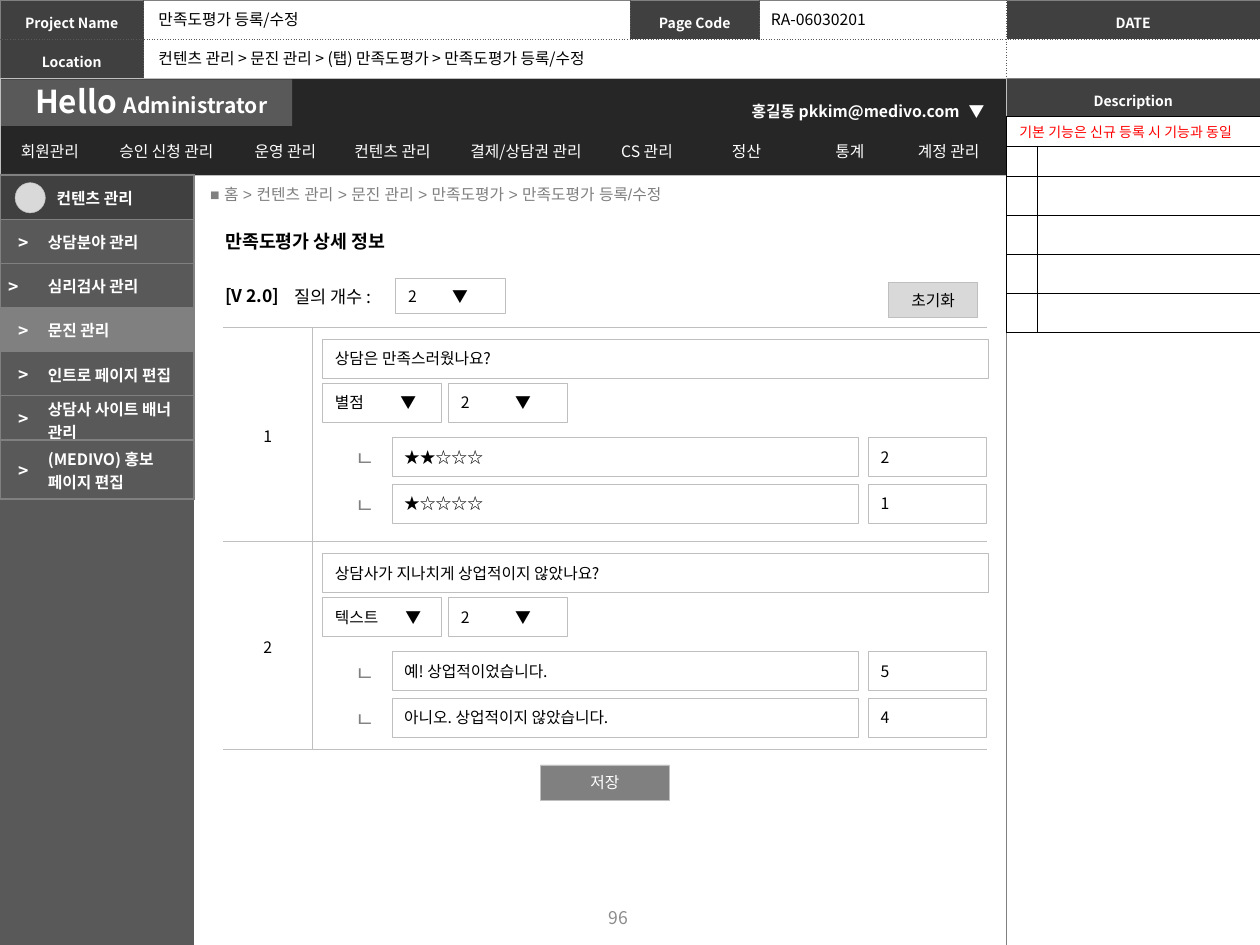
from lxml.etree import SubElement
from pptx import Presentation
from pptx.dml.color import RGBColor
from pptx.enum.shapes import MSO_SHAPE as Preset
from pptx.enum.text import MSO_ANCHOR as Anchor, MSO_AUTO_SIZE as AutoSize, PP_ALIGN as Align
from pptx.oxml.ns import qn
from pptx.util import Inches, Pt

FONT = "Noto Sans CJK KR"
COLORS = {
    "white": "FFFFFF", "black": "000000", "red": "FF0000", "night": "262626",
    "dark": "404040", "slate": "595959", "gray": "808080", "muted": "8C8C8C",
    "silver": "BFBFBF", "light": "D9D9D9",
}
PLAIN_TABLE = "{2D5ABB26-0587-4C30-8999-92F81FD0307C}"
TIGHT = (0.01, 0.01, 0.01, 0)
HEADER = dict(size=8, color="white", bold=True, align=Align.CENTER, spacing=1.3)


def rgb(name):
    return RGBColor.from_string(COLORS[name])


def write(frame, text, size=9, color="black", bold=False, align=Align.LEFT,
          spacing=None, font=FONT, tab=None):
    para = frame.paragraphs[0]
    para.alignment = align
    if spacing:
        para.line_spacing = spacing
    if tab:
        tabs = SubElement(para._p.get_or_add_pPr(), qn("a:tabLst"))
        SubElement(tabs, qn("a:tab"), pos=str(Inches(tab)), algn="l")
    pieces = [(text, size)] if isinstance(text, str) else text
    for words, points in pieces:
        span = para.add_run()
        span.text = words
        span.font.size = Pt(points)
        span.font.bold = bold
        span.font.name = font
        span.font.color.rgb = rgb(color)
        SubElement(span._r.get_or_add_rPr(), qn("a:ea"), typeface=font)


def add_label(page, text, left, top, width, height, anchor=Anchor.TOP, wrap=False, **style):
    box = page.shapes.add_textbox(Inches(left), Inches(top), Inches(width), Inches(height))
    frame = box.text_frame
    frame.word_wrap = wrap
    frame.auto_size = AutoSize.NONE if wrap else AutoSize.SHAPE_TO_FIT_TEXT
    frame.vertical_anchor = anchor
    write(frame, text, **style)


def add_block(page, left, top, width, height, fill="white", line="silver", text="",
              preset=Preset.RECTANGLE, **style):
    shape = page.shapes.add_shape(preset, Inches(left), Inches(top), Inches(width), Inches(height))
    shape.shadow.inherit = False
    shape.fill.solid()
    shape.fill.fore_color.rgb = rgb(fill)
    if line:
        shape.line.color.rgb = rgb(line)
        shape.line.width = Pt(0.25)
    else:
        shape.line.fill.background()
    if text:
        shape.text_frame.vertical_anchor = Anchor.MIDDLE
        write(shape.text_frame, text, **style)


def draw_border(cell, side, line):
    if not line:
        return
    color, width, dash = line
    border = SubElement(cell._tc.get_or_add_tcPr(), qn(f"a:ln{side}"), w=str(Pt(width)))
    solid = SubElement(border, qn("a:solidFill"))
    SubElement(solid, qn("a:srgbClr"), val=COLORS[color])
    SubElement(border, qn("a:prstDash"), val=dash)


def add_grid(page, left, top, widths, heights, sides=None, ends=None, across=None, down=None):
    rows, columns = len(heights), len(widths)
    holder = page.shapes.add_table(rows, columns, Inches(left), Inches(top),
                                   Inches(sum(widths)), Inches(sum(heights)))
    grid = holder.table
    grid.first_row = grid.horz_banding = False
    holder.element.xpath(".//a:tableStyleId")[0].text = PLAIN_TABLE
    for column, width in zip(grid.columns, widths):
        column.width = Inches(width)
    for row, height in zip(grid.rows, heights):
        row.height = Inches(height)
    for r in range(rows):
        for c in range(columns):
            cell = grid.cell(r, c)
            draw_border(cell, "L", down if c else sides)
            draw_border(cell, "R", down if c < columns - 1 else sides)
            draw_border(cell, "T", across if r else ends)
            draw_border(cell, "B", across if r < rows - 1 else ends)
            cell.fill.background()
            SubElement(cell.text_frame.paragraphs[0]._p, qn("a:endParaRPr"), sz="600")
    return grid


def fill_cell(cell, text="", fill=None, insets=(0.1, 0.05, 0.1, 0.05), anchor=Anchor.MIDDLE, **style):
    cell.margin_left, cell.margin_top, cell.margin_right, cell.margin_bottom = map(Inches, insets)
    cell.vertical_anchor = anchor
    if fill:
        cell.fill.solid()
        cell.fill.fore_color.rgb = rgb(fill)
    if text:
        write(cell.text_frame, text, **style)


def add_header(page):
    solid, dotted = ("gray", 0.5, "solid"), ("slate", 0.5, "sysDot")
    info = add_grid(page, 0, 0, [1.14, 3.86, 1.03, 1.96, 2.01], [0.31, 0.31],
                    solid, solid, dotted, dotted)
    for r, c, text in [(0, 0, "Project Name"), (0, 2, "Page Code"), (0, 4, "DATE"), (1, 0, "Location")]:
        fill_cell(info.cell(r, c), text, "dark", (0.04,) * 4, **HEADER)
    info.cell(1, 1).merge(info.cell(1, 3))
    description = add_grid(page, 7.99, 0.62, [2.01], [0.31, 6.57], solid, solid, dotted)
    fill_cell(description.cell(0, 0), "Description", "dark", (0.08, 0.04, 0.08, 0.04), **HEADER)
    add_label(page, "만족도평가 등록/수정", 1.16, 0.03, 1.43, 0.25)
    add_label(page, "RA-06030201", 6.02, 0.03, 0.98, 0.25)
    add_label(page, "컨텐츠 관리 > 문진 관리 > (탭) 만족도평가 > 만족도평가 등록/수정", 1.16, 0.34, 4.06, 0.25)


def add_navigation(page):
    add_block(page, 0, 0.62, 7.99, 0.77, "night")
    add_block(page, 0.01, 0.63, 2.31, 0.37, "slate", None)
    add_label(page, [("Hello ", 18), ("Administrator", 12)], 0.18, 0.6, 2.09, 0.4,
              color="white", bold=True)
    edge = ("night", 1, "solid")
    menu = ["회원관리", "승인 신청 관리", "운영 관리", "컨텐츠 관리", "결제/상담권 관리",
            "CS 관리", "정산", "통계", "계정 관리"]
    bar = add_grid(page, 0.02, 1.04, [0.75, 1.1, 0.79, 0.91, 1.21, 0.71, 0.87, 0.77, 0.8],
                   [0.31], edge, edge, edge, edge)
    for c, text in enumerate(menu):
        fill_cell(bar.cell(0, c), text, color="white", align=Align.CENTER)
    account = dict(color="white", bold=True, spacing=1.2)
    add_label(page, "홍길동 pkkim@medivo.com", 5.82, 0.73, 1.94, 0.26, align=Align.CENTER, **account)
    add_label(page, "▼", 7.59, 0.73, 0.33, 0.26, **account)


def add_sidebar(page):
    add_block(page, 0, 1.38, 1.54, 6.12, "slate", None)
    items = ["컨텐츠 관리", "상담분야 관리", "심리검사 관리", "문진 관리", "인트로 페이지 편집",
             "상담사 사이트 배너 관리", "(MEDIVO) 홍보 페이지 편집"]
    fills = {"컨텐츠 관리": "dark", "문진 관리": "gray"}
    edge = ("gray", 1, "solid")
    menu = add_grid(page, 0, 1.39, [0.37, 1.17], [0.35] * 6 + [0.47], edge, edge, edge)
    for r, text in enumerate(items):
        fill = fills.get(text, "slate")
        marker = ">" if r else ""
        shift = 0.17 if text == "심리검사 관리" else 0.01
        indent = 0.01 if r else 0.08
        fill_cell(menu.cell(r, 0), marker, fill, (0.01, 0.01, shift, 0), size=10, color="white",
                  bold=True, align=Align.CENTER)
        fill_cell(menu.cell(r, 1), text, fill, (indent, 0.01, 0.01, 0), color="white", bold=True)
    add_block(page, 0.12, 1.45, 0.24, 0.24, "light", preset=Preset.OVAL)


def add_question(page, top, question, kind, arrow, answers):
    add_block(page, 2.56, top, 5.28, 0.31, text=question)
    add_block(page, 2.56, top + 0.35, 0.94, 0.31, text=f"{kind}\t▼", tab=arrow)
    add_block(page, 3.56, top + 0.35, 0.94, 0.31, text="2\t▼", tab=0.43)
    for index, (answer, score) in enumerate(answers):
        line = top + 0.78 + 0.37 * index
        add_label(page, "ㄴ", 2.72, line + 0.02, 0.37, 0.3, size=12, color="gray")
        add_block(page, 3.11, line, 3.7, 0.31, text=answer)
        add_block(page, 6.89, line, 0.94, 0.31, text=score)


def add_survey(page):
    title = page.shapes.title
    title.left, title.top, title.width, title.height = map(Inches, (1.69, 1.78, 1.63, 0.28))
    title.text_frame.word_wrap = False
    title.text_frame.auto_size = AutoSize.SHAPE_TO_FIT_TEXT
    title.text_frame.vertical_anchor = Anchor.TOP
    write(title.text_frame, "만족도평가 상세 정보", size=10.5, bold=True)
    add_label(page, "■ 홈 > 컨텐츠 관리 > 문진 관리 > 만족도평가 > 만족도평가 등록/수정",
              1.57, 1.37, 6.11, 0.34, Anchor.MIDDLE, True, color="gray", font="Arial")
    add_label(page, "[V 2.0]", 1.69, 2.21, 0.65, 0.27, size=10, bold=True)
    add_label(page, "질의 개수 :", 2.24, 2.22, 0.89, 0.27, size=10)
    add_block(page, 3.14, 2.21, 0.87, 0.28, text="2\t▼", tab=0.35)
    add_block(page, 7.05, 2.24, 0.71, 0.28, "light", text="초기화", align=Align.CENTER)
    edge = ("silver", 0.5, "solid")
    frame = add_grid(page, 1.77, 2.6, [0.71, 5.35], [1.7, 1.65], None, edge, edge, edge)
    for r in range(2):
        fill_cell(frame.cell(r, 0), str(r + 1), "white", TIGHT, align=Align.CENTER)
    add_question(page, 2.69, "상담은 만족스러웠나요?", "별점", 0.52,
                 [("★★☆☆☆", "2"), ("★☆☆☆☆", "1")])
    add_question(page, 4.39, "상담사가 지나치게 상업적이지 않았나요?", "텍스트", 0.56,
                 [("예! 상업적이었습니다.", "5"), ("아니오. 상업적이지 않았습니다.", "4")])
    add_block(page, 4.29, 6.07, 1.02, 0.28, "gray", text="저장", color="white", align=Align.CENTER)
    add_label(page, "96", 3.74, 7.08, 2.33, 0.4, Anchor.MIDDLE, True,
              size=10, color="muted", align=Align.CENTER)


def add_notes_table(page):
    edge = ("black", 0.5, "solid")
    notes = add_grid(page, 7.99, 0.92, [0.24, 1.77], [0.24] * 2 + [0.31] * 4, edge, edge, edge, edge)
    notes.cell(0, 0).merge(notes.cell(0, 1))
    for cell in notes.iter_cells():
        fill_cell(cell, fill="white", insets=(0.1, 0.04, 0.05, 0.03), anchor=Anchor.TOP)
    write(notes.cell(0, 0).text_frame, "기본 기능은 신규 등록 시 기능과 동일", size=8, color="red")


def main():
    deck = Presentation()
    deck.slide_width, deck.slide_height = Inches(10), Inches(7.5)
    page = deck.slides.add_slide(deck.slide_layouts[5])
    add_header(page)
    add_navigation(page)
    add_survey(page)
    add_sidebar(page)
    add_notes_table(page)
    deck.save("out.pptx")


if __name__ == "__main__":
    main()
